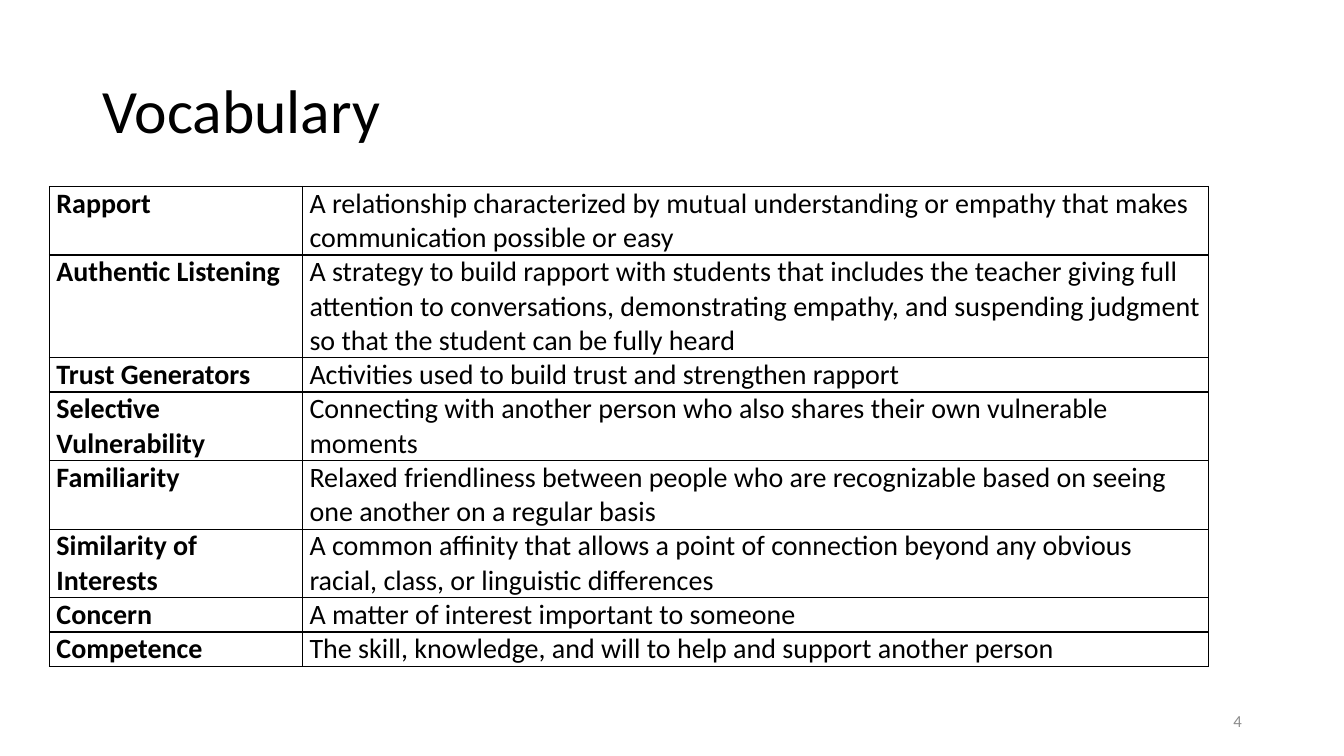
import pptx
import pptx.util
import pptx.dml.color
import pptx.enum.text
import pptx.oxml

Inches, Pt = pptx.util.Inches, pptx.util.Pt
ANCHOR = pptx.enum.text.MSO_ANCHOR
ALIGN = pptx.enum.text.PP_ALIGN

WIDTH, HEIGHT = 13.33, 7.5
CONTENT_W = 11.5
LINE_H = 0.34  # one line of 20 pt table text
TERM_W = 2.51
A_NS = "http://schemas.openxmlformats.org/drawingml/2006/main"

# term, definition, number of text lines the row holds
VOCABULARY = [
    ("Rapport", "A relationship characterized by mutual understanding or empathy "
     "that makes communication possible or easy", 2),
    ("Authentic Listening", "A strategy to build rapport with students that includes "
     "the teacher giving full attention to conversations, demonstrating empathy, and "
     "suspending judgment so that the student can be fully heard", 3),
    ("Trust Generators", "Activities used to build trust and strengthen rapport", 1),
    ("Selective Vulnerability", "Connecting with another person who also shares their "
     "own vulnerable moments", 2),
    ("Familiarity", "Relaxed friendliness between people who are recognizable based on "
     "seeing one another on a regular basis", 2),
    ("Similarity of Interests", "A common affinity that allows a point of connection "
     "beyond any obvious racial, class, or linguistic differences", 2),
    ("Concern", "A matter of interest important to someone", 1),
    ("Competence", "The skill, knowledge, and will to help and support another person", 1),
]


def color(value):
    return pptx.dml.color.RGBColor.from_string(value)


def write(tf, text, size=20, bold=False, fill="000000", align=ALIGN.LEFT, spacing=None):
    tf.word_wrap = True
    p = tf.paragraphs[0]
    p.alignment = align
    p.line_spacing = spacing
    r = p.add_run()
    r.text = text
    r.font.name = "Calibri"
    r.font.size = Pt(size)
    r.font.bold = bold
    r.font.color.rgb = color(fill)


def add_text(slide, text, left, top, width, height, **fmt):
    sp = slide.shapes.add_textbox(Inches(left), Inches(top), Inches(width), Inches(height))
    sp.text_frame.vertical_anchor = ANCHOR.MIDDLE
    write(sp.text_frame, text, **fmt)


def add_borders(cell, width=1, line="000000"):
    tc_pr = cell._tc.get_or_add_tcPr()
    for side in ("lnL", "lnR", "lnT", "lnB"):
        tc_pr.append(pptx.oxml.parse_xml(
            f'<a:{side} xmlns:a="{A_NS}" w="{Pt(width)}"><a:solidFill>'
            f'<a:srgbClr val="{line}"/></a:solidFill></a:{side}>'))


def fill_cell(cell, text, **fmt):
    cell.margin_left = cell.margin_right = Inches(0.07)
    cell.margin_top = cell.margin_bottom = 0
    cell.vertical_anchor = ANCHOR.TOP
    add_borders(cell)
    cell.fill.background()
    write(cell.text_frame, text, **fmt)


def add_glossary(slide, entries, left, top):
    height = LINE_H * sum(lines for _, _, lines in entries)
    table = slide.shapes.add_table(len(entries), 2, Inches(left), Inches(top),
                                   Inches(CONTENT_W), Inches(height)).table
    table.first_row = table.horz_banding = False
    table.columns[0].width = Inches(TERM_W)
    table.columns[1].width = Inches(CONTENT_W - TERM_W)
    for i, (term, definition, lines) in enumerate(entries):
        table.rows[i].height = Inches(LINE_H * lines)
        fill_cell(table.cell(i, 0), term, bold=True)
        fill_cell(table.cell(i, 1), definition)


def main():
    prs = pptx.Presentation()
    prs.slide_width, prs.slide_height = Inches(WIDTH), Inches(HEIGHT)
    slide = prs.slides.add_slide(prs.slide_layouts[6])
    margin = (WIDTH - CONTENT_W) / 2
    add_text(slide, "Vocabulary", margin, 0.4, CONTENT_W, 1.45, size=44, spacing=0.9)
    add_glossary(slide, VOCABULARY, 0.49, 1.85)
    add_text(slide, "4", WIDTH - margin - 3, 6.95, 3, 0.4,
             size=12, fill="8C8C8C", align=ALIGN.RIGHT)
    prs.save("out.pptx")


if __name__ == "__main__":
    main()
